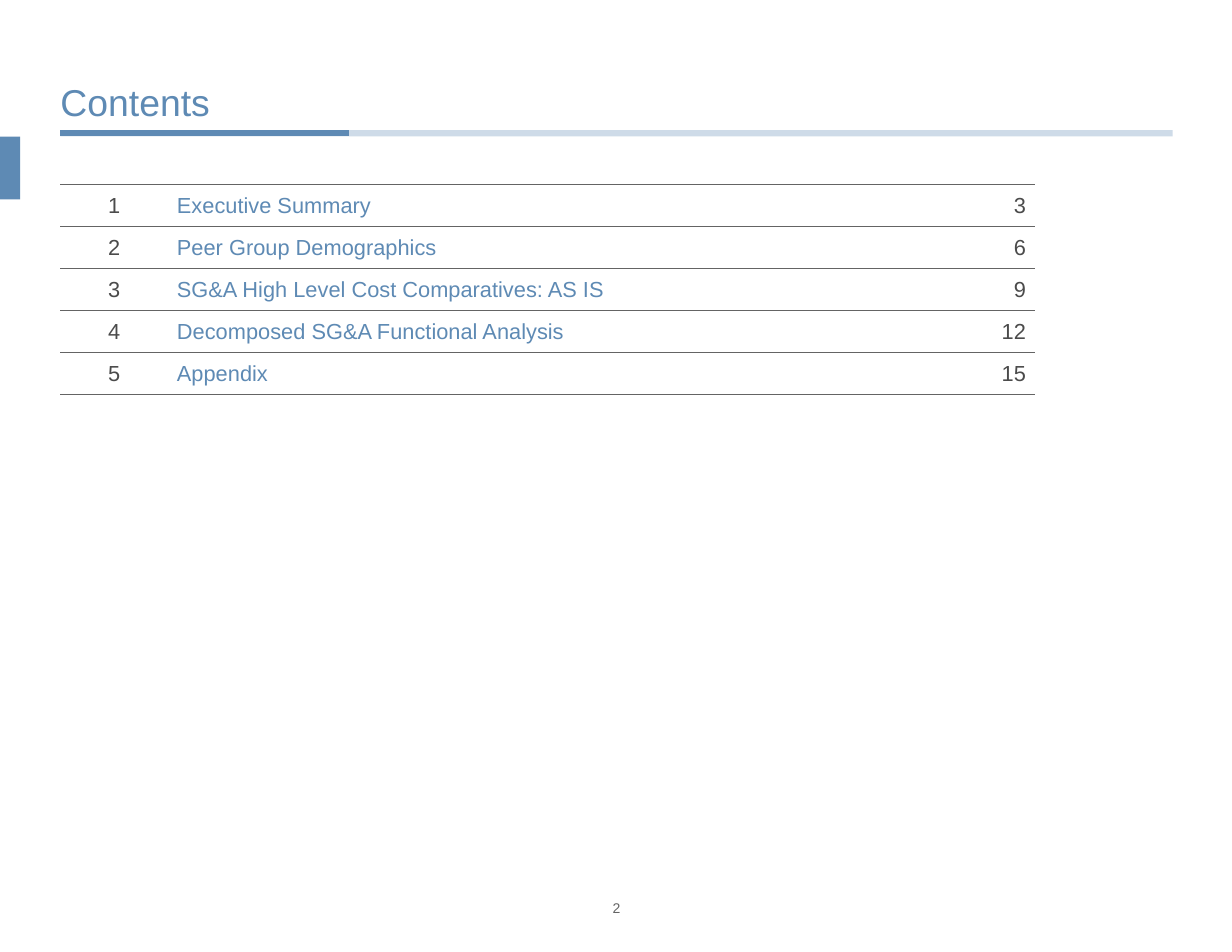
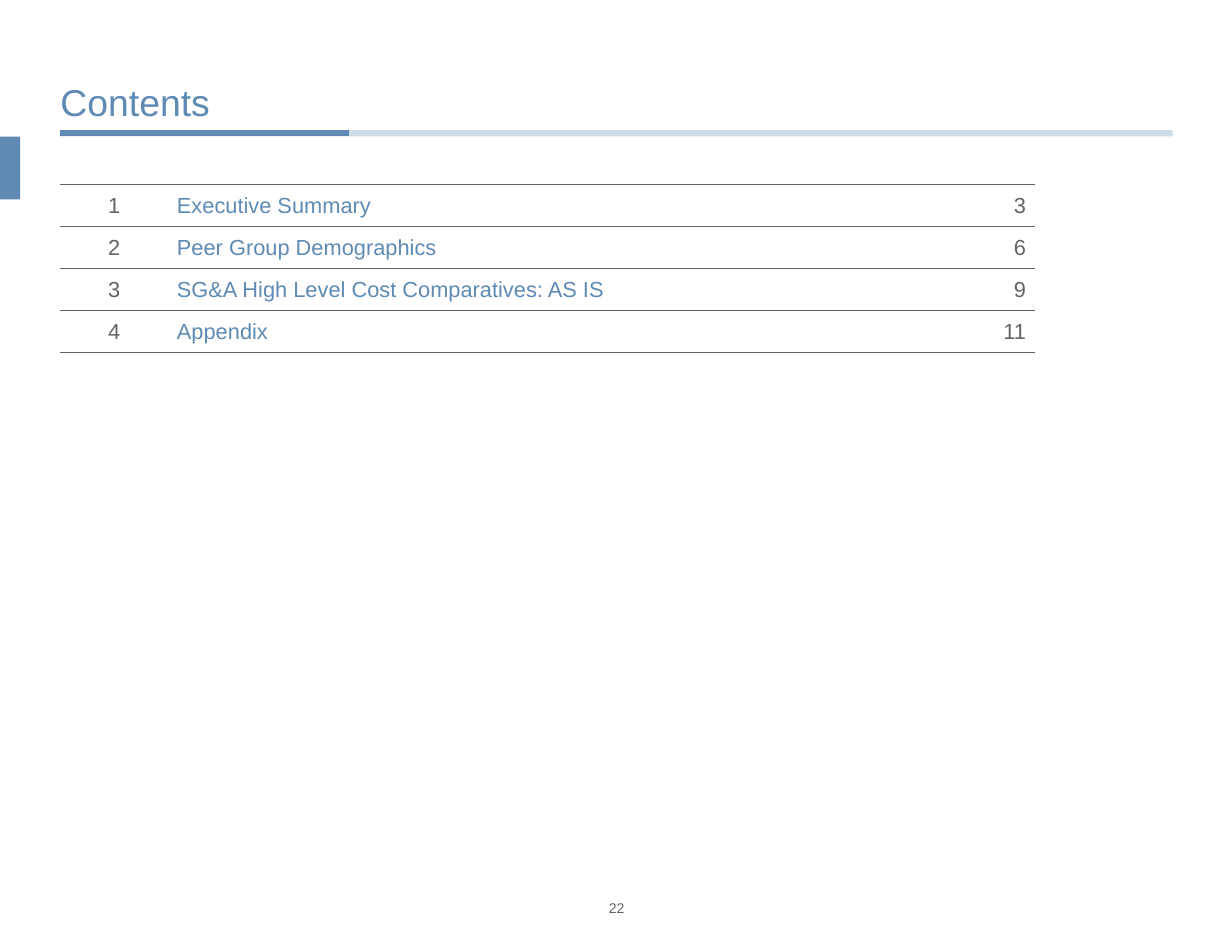
import pptx
import pptx.util
import pptx.dml.color
import pptx.enum.shapes
import pptx.enum.text
import pptx.oxml.ns
from lxml import etree

Inches = pptx.util.Inches
Pt = pptx.util.Pt
RGBColor = pptx.dml.color.RGBColor
Align = pptx.enum.text.PP_ALIGN
Anchor = pptx.enum.text.MSO_ANCHOR
qn = pptx.oxml.ns.qn

BLUE = RGBColor(0x5E, 0x8A, 0xB4)
GRAY = RGBColor(0x64, 0x64, 0x64)
DARK_GRAY = RGBColor(0x4B, 0x4B, 0x4B)

FONT = "Arial"
PLAIN_TABLE_STYLE = "{2D5ABB26-0587-4C30-8999-92F81FD0307C}"
COLUMN_WIDTHS = (0.96, 6.79, 0.95)
COLUMN_ALIGNMENTS = (Align.CENTER, Align.LEFT, Align.RIGHT)
ROW_HEIGHT = 3 / 8

CONTENTS_SLIDES = [
    ("2", DARK_GRAY, [
        ("Executive Summary", "3"),
        ("Peer Group Demographics", "6"),
        ("SG&A High Level Cost Comparatives: AS IS", "9"),
        ("Decomposed SG&A Functional Analysis", "12"),
        ("Appendix", "15"),
    ]),
    ("22", GRAY, [
        ("Executive Summary", "3"),
        ("Peer Group Demographics", "6"),
        ("SG&A High Level Cost Comparatives: AS IS", "9"),
        ("Appendix", "11"),
    ]),
]


def write_text(text_frame, text, size, color, alignment=Align.LEFT):
    text_frame.text = text
    paragraph = text_frame.paragraphs[0]
    paragraph.alignment = alignment
    font = paragraph.runs[0].font
    font.name = FONT
    font.size = Pt(size)
    font.color.rgb = color


def add_text(slide, box, text, size, color, alignment=Align.LEFT, anchor=Anchor.TOP):
    text_frame = slide.shapes.add_textbox(*map(Inches, box)).text_frame
    text_frame.word_wrap = True
    text_frame.vertical_anchor = anchor
    text_frame.margin_left = text_frame.margin_right = 0
    text_frame.margin_top = text_frame.margin_bottom = 0
    write_text(text_frame, text, size, color, alignment)


def add_rule(slide, left, top, width, opacity=100):
    rule = slide.shapes.add_connector(
        pptx.enum.shapes.MSO_CONNECTOR.STRAIGHT,
        Inches(left), Inches(top), Inches(left + width), Inches(top))
    rule.line.width = Pt(4)
    rule.line.color.rgb = BLUE
    properties = rule._element.spPr
    if opacity < 100:
        color = properties.find(".//" + qn("a:srgbClr"))
        etree.SubElement(color, qn("a:alpha"), val=str(opacity * 1000))
    etree.SubElement(properties, qn("a:effectLst"))


def add_header(slide, left, top, width, height, title):
    rule_top = top + height + 0.08
    add_rule(slide, left, rule_top, width, opacity=30)
    add_rule(slide, left, rule_top, 2.58)
    add_text(slide, (left, top, width, height), title, 24, BLUE, anchor=Anchor.BOTTOM)


def add_side_tab(slide, left, top, width, height):
    tab = slide.shapes.add_shape(
        pptx.enum.shapes.MSO_SHAPE.RECTANGLE, *map(Inches, (left, top, width, height)))
    tab.shadow.inherit = False
    tab.fill.solid()
    tab.fill.fore_color.rgb = BLUE
    tab.line.fill.background()


def add_cell_borders(cell):
    properties = cell._tc.get_or_add_tcPr()
    for side in ("a:lnT", "a:lnB"):
        border = etree.SubElement(properties, qn(side), w=str(Pt(0.5)))
        fill = etree.SubElement(border, qn("a:solidFill"))
        etree.SubElement(fill, qn("a:srgbClr"), val=str(GRAY))


def add_contents_table(slide, left, top, entries, number_color):
    frame = slide.shapes.add_table(
        len(entries), len(COLUMN_WIDTHS), Inches(left), Inches(top),
        Inches(sum(COLUMN_WIDTHS)), Inches(ROW_HEIGHT * len(entries)))
    table = frame.table
    table.first_row = False
    table.horz_banding = False
    table._tbl.tblPr.find(qn("a:tableStyleId")).text = PLAIN_TABLE_STYLE
    for column, width in zip(table.columns, COLUMN_WIDTHS):
        column.width = Inches(width)
    colors = (number_color, BLUE, number_color)
    for number, (row, (section, page)) in enumerate(zip(table.rows, entries), 1):
        row.height = Inches(ROW_HEIGHT)
        texts = (str(number), section, page)
        for cell, text, color, alignment in zip(row.cells, texts, colors, COLUMN_ALIGNMENTS):
            cell.margin_left = cell.margin_right = Inches(0.08)
            cell.margin_top = cell.margin_bottom = Inches(0.07)
            cell.vertical_anchor = Anchor.MIDDLE
            add_cell_borders(cell)
            cell.fill.background()
            write_text(cell.text_frame, text, 14, color, alignment)


def add_contents_slide(presentation, page_number, number_color, entries):
    slide = presentation.slides.add_slide(presentation.slide_layouts[6])
    add_header(slide, 0.54, 0.21, 9.93, 0.9, "Contents")
    add_side_tab(slide, 0, 1.22, 0.18, 0.56)
    add_contents_table(slide, 0.54, 1.65, entries, number_color)
    add_text(slide, (5.32, 8.03, 0.37, 0.15), page_number, 9, GRAY, Align.CENTER)


def main():
    presentation = pptx.Presentation()
    presentation.slide_width = Inches(11)
    presentation.slide_height = Inches(8.5)
    for page_number, number_color, entries in CONTENTS_SLIDES:
        add_contents_slide(presentation, page_number, number_color, entries)
    presentation.save("out.pptx")


if __name__ == "__main__":
    main()
